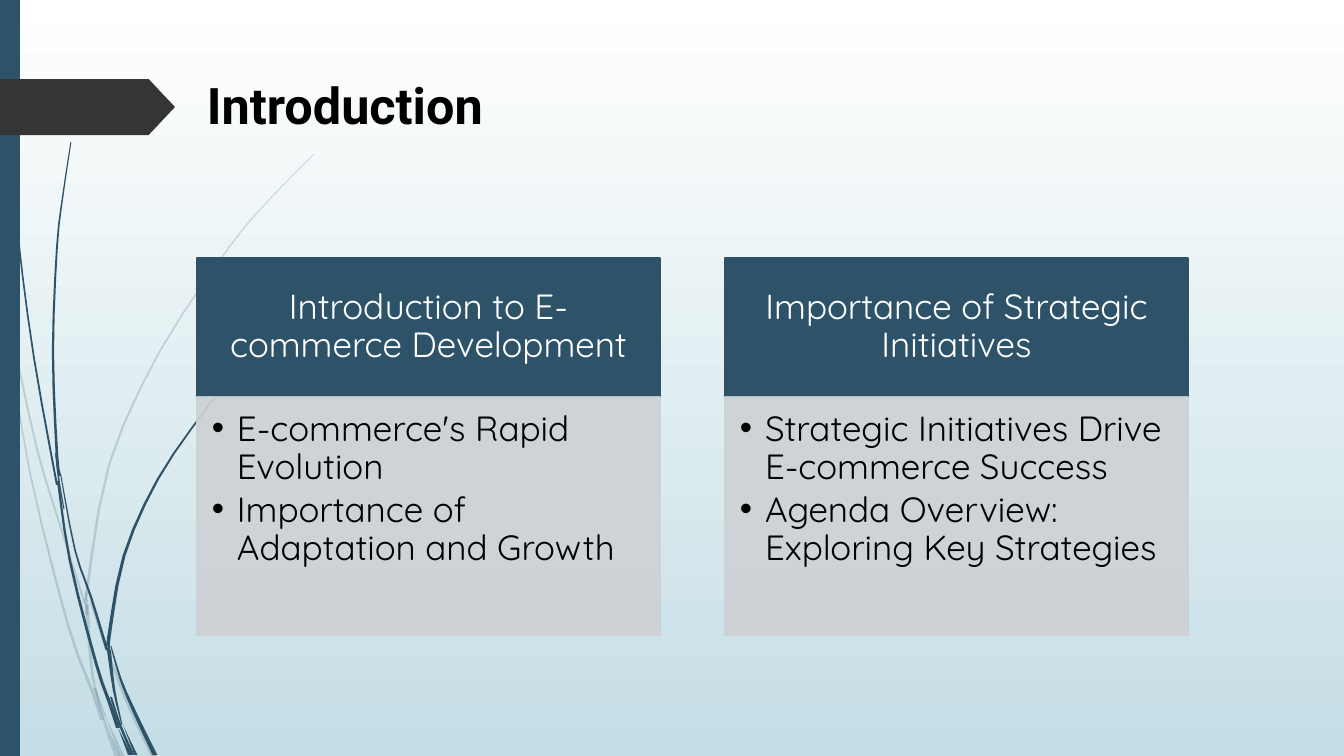
from dataclasses import dataclass

from lxml import etree
from pptx import Presentation
from pptx.dml.color import RGBColor
from pptx.enum.shapes import MSO_SHAPE
from pptx.enum.text import MSO_ANCHOR, MSO_AUTO_SIZE, PP_ALIGN
from pptx.oxml.ns import qn
from pptx.shapes.base import BaseShape
from pptx.slide import Slide
from pptx.util import Pt

PX = 12192000 / 1344
WIDE, HIGH = 1344, 756
NAVY = RGBColor(0x2E, 0x53, 0x69)
SKY = RGBColor(0xC5, 0xDE, 0xE5)
GREY = RGBColor(0xCD, 0xD1, 0xD4)
COAL = RGBColor(0x35, 0x35, 0x35)
BLACK = RGBColor(0, 0, 0)
WHITE = RGBColor(0xFF, 0xFF, 0xFF)
RECT, TAG = MSO_SHAPE.RECTANGLE, MSO_SHAPE.PENTAGON
TOP, MIDDLE = MSO_ANCHOR.TOP, MSO_ANCHOR.MIDDLE
LEFT, CENTER = PP_ALIGN.LEFT, PP_ALIGN.CENTER
NO_FIT = MSO_AUTO_SIZE.NONE
COMPARE = 4  # layout with a title and two headed lists
STEPS = 3

Point = tuple[float, float]
Box = tuple[int, int, int, int]


@dataclass(frozen=True)
class Blade:
    """A piece of grass: its width at both ends and the points of its middle line."""
    tip: int
    root: int
    points: list[Point]


@dataclass(frozen=True)
class Card:
    head: str
    items: list[str]
    head_id: int
    list_id: int


PALE = [
    Blade(2, 1, [(1, 284), (11, 353)]),
    Blade(2, 2, [(15, 348), (37, 449), (60, 525), (85, 604)]),
    Blade(1, 5, [(90, 601), (107, 650), (126, 699), (153, 756)]),
    Blade(0, 5, [(106, 717), (122, 756)]),
    Blade(1, 4, [(11, 353), (30, 473), (68, 625), (93, 693), (102, 720)]),
    Blade(4, 1, [(87, 604), (90, 651), (95, 688), (106, 717)]),
    Blade(1, 3, [(314, 154), (270, 199), (230, 246), (160, 351), (109, 465),
                 (87, 590), (87, 600)]),
    Blade(0, 5, [(102, 720), (117, 756)]),
    Blade(1, 3, [(86, 591), (87, 615)]),
    Blade(3, 1, [(95, 688), (105, 722), (120, 756)]),
]
DARK = [
    Blade(1, 2, [(4, 0), (8, 111), (18, 235), (34, 358), (57, 485)]),
    Blade(1, 3, [(61, 476), (75, 550), (91, 597), (107, 650)]),
    Blade(1, 5, [(111, 646), (121, 680), (135, 713), (155, 755)]),
    Blade(2, 4, [(58, 481), (70, 561), (96, 663), (110, 704), (118, 728)]),
    Blade(1, 3, [(71, 142), (63, 195), (57, 247), (53, 352), (57, 455), (60, 476)]),
    Blade(0, 3, [(123, 725), (136, 755)]),
    Blade(2, 1, [(56, 453), (59, 481), (64, 509)]),
    Blade(1, 4, [(262, 347), (233, 377), (206, 409), (158, 479), (124, 556),
                 (109, 637), (109, 646)]),
    Blade(0, 4, [(118, 728), (130, 755)]),
    Blade(4, 1, [(109, 650), (114, 690), (122, 725)]),
    Blade(2, 2, [(108, 636), (110, 661)]),
    Blade(2, 3, [(111, 697), (120, 725), (133, 755)]),
]
CARDS = [
    Card("Introduction to E-commerce Development",
         ["E-commerce's Rapid Evolution", "Importance of Adaptation and Growth"], 1, 2),
    Card("Importance of Strategic Initiatives",
         ["Strategic Initiatives Drive E-commerce Success",
          "Agenda Overview: Exploring Key Strategies"], 3, 4),
]


def emu(px: float) -> int:
    return round(px * PX)


def paint(shape: BaseShape, color: RGBColor, alpha: int = 100, edge: bool = False) -> None:
    shape.fill.solid()
    shape.fill.fore_color.rgb = color
    if edge:
        shape.line.color.rgb = color
        shape.line.width = Pt(1.25)
    else:
        shape.line.fill.background()
    if alpha < 100:
        for tint in shape._element.spPr.iter(qn("a:srgbClr")):
            etree.SubElement(tint, qn("a:alpha"), val=str(alpha * 1000))


def curve(points: list[Point]) -> list[Point]:
    """Smooth a line through the points with a Catmull-Rom spline."""
    if len(points) == 2:
        return points
    ends = [points[0], *points, points[-1]]
    smooth = []
    for a, b, c, d in zip(ends, ends[1:], ends[2:], ends[3:]):
        for step in range(STEPS):
            t = step / STEPS
            x, y = (
                q + t * (r - p + t * (2 * p - 5 * q + 4 * r - s
                                      + t * (3 * q - p - 3 * r + s))) / 2
                for p, q, r, s in zip(a, b, c, d))
            smooth.append((x, y))
    return [*smooth, points[-1]]


def grow(slide: Slide, blade: Blade, alpha: int) -> None:
    """Draw a blade whose width changes evenly from tip to root."""
    line = curve(blade.points)
    last = len(line) - 1
    near, far = [], []
    for i, (x, y) in enumerate(line):
        half = (blade.tip + (blade.root - blade.tip) * i / last) / 2
        near.append((emu(x - half), emu(y)))
        far.append((emu(x + half), emu(y)))
    rim = near + far[::-1]
    pen = slide.shapes.build_freeform(*rim[0], scale=1.0)
    pen.add_line_segments(rim[1:], close=True)
    shape = pen.convert_to_shape()
    shape.shadow.inherit = False
    paint(shape, NAVY, alpha)


def block(slide: Slide, kind: MSO_SHAPE, box: Box, color: RGBColor) -> BaseShape:
    shape = slide.shapes.add_shape(kind, *map(emu, box))
    shape.shadow.inherit = False
    paint(shape, color)
    return shape


def place(slide: Slide, key: int, box: Box) -> BaseShape:
    """Move a placeholder to its box and to the front."""
    holder = next(h for h in slide.placeholders if h.placeholder_format.idx == key)
    holder.left, holder.top, holder.width, holder.height = map(emu, box)
    slide.shapes._spTree.append(holder._element)
    return holder


def write(shape: BaseShape, lines: list[str], *, size: int = 25,
          font: str = "Quicksand", color: RGBColor = BLACK, bold: bool = False,
          align: PP_ALIGN = LEFT, anchor: MSO_ANCHOR = TOP,
          inset: Box = (10, 5, 10, 5), space: float = 0.9,
          after: float = 0, dots: bool = False) -> None:
    frame = shape.text_frame
    frame.text = "\n".join(lines)
    frame.word_wrap = True
    frame.auto_size = NO_FIT
    frame.vertical_anchor = anchor
    (frame.margin_left, frame.margin_top,
     frame.margin_right, frame.margin_bottom) = map(emu, inset)
    for para in frame.paragraphs:
        para.alignment = align
        para.line_spacing = space
        para.space_before, para.space_after = Pt(0), Pt(after)
        for run in para.runs:
            run.font.size, run.font.name, run.font.bold = Pt(size), font, bold
            run.font.color.rgb = color
        if dots:
            para.level = 1
            props = para._p.get_or_add_pPr()
            props.set("marL", str(emu(25)))
            props.set("indent", str(-emu(25)))
            etree.SubElement(props, qn("a:buChar"), char="•")


def main() -> None:
    deck = Presentation()
    deck.slide_width, deck.slide_height = emu(WIDE), emu(HIGH)
    slide = deck.slides.add_slide(deck.slide_layouts[COMPARE])

    back = slide.background.fill
    back.gradient()
    back.gradient_angle = 270
    for stop, color, spot in zip(back.gradient_stops, (WHITE, SKY), (0, 1)):
        stop.color.rgb, stop.position = color, spot

    for blades, alpha in ((PALE, 20), (DARK, 100)):
        for blade in blades:
            grow(slide, blade, alpha)
    block(slide, RECT, (0, 0, 20, HIGH), NAVY)
    tag = block(slide, TAG, (0, 79, 175, 56), COAL)
    tag.adjustments[0] = 0.47

    title = place(slide, 0, (197, 69, 1070, 141))
    write(title, ["Introduction"], size=36, font="Roboto", bold=True, space=1.0)

    for i, card in enumerate(CARDS):
        left = 197 + 528 * i
        head = place(slide, card.head_id, (left, 258, 463, 139))
        paint(head, NAVY, edge=True)
        write(head, [card.head], color=WHITE, align=CENTER, anchor=MIDDLE,
              inset=(19, 11, 19, 11))
        body = place(slide, card.list_id, (left, 397, 463, 238))
        paint(body, GREY, alpha=90, edge=True)
        write(body, card.items, inset=(15, 14, 19, 22), after=4, dots=True)

    deck.save("out.pptx")


if __name__ == "__main__":
    main()
